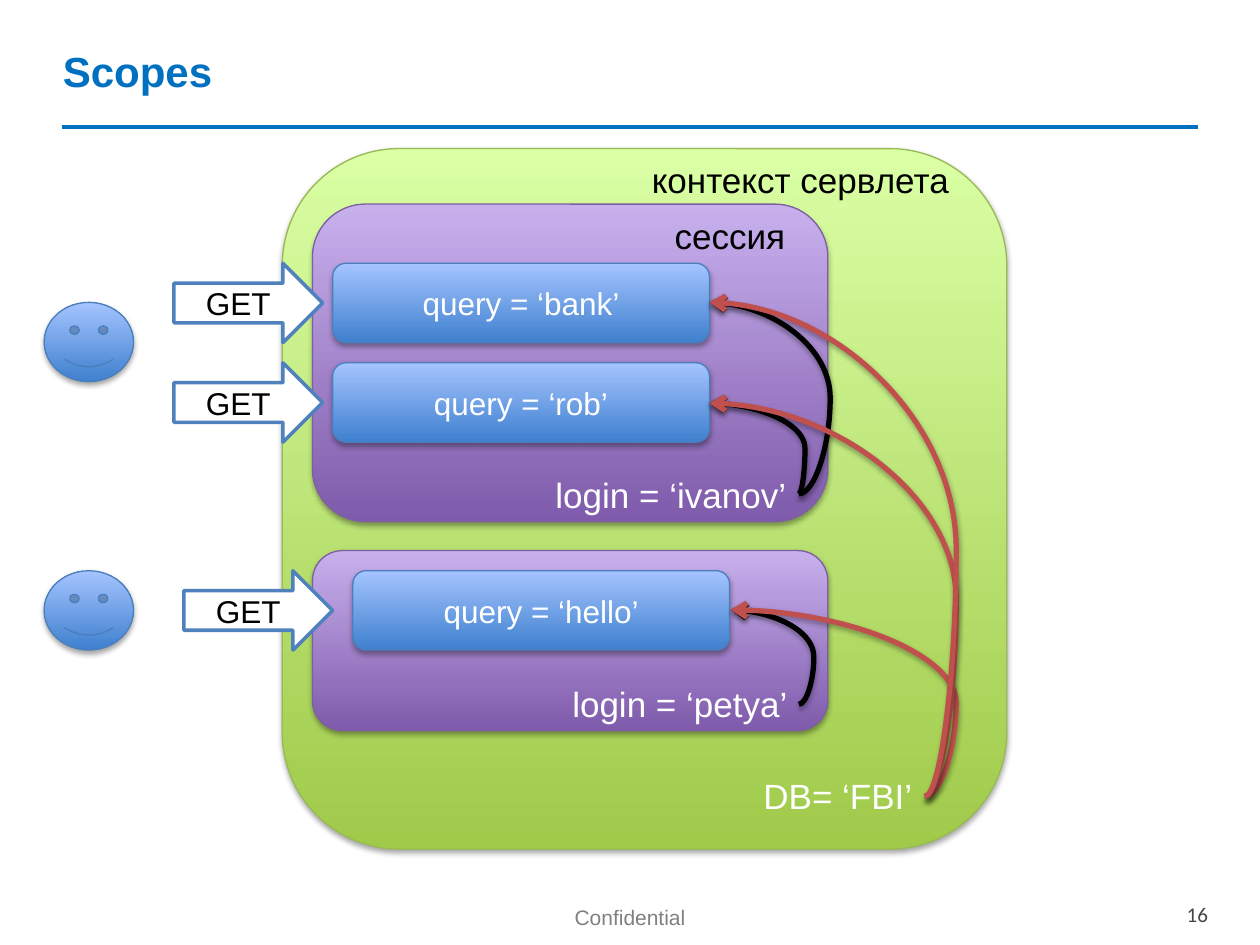
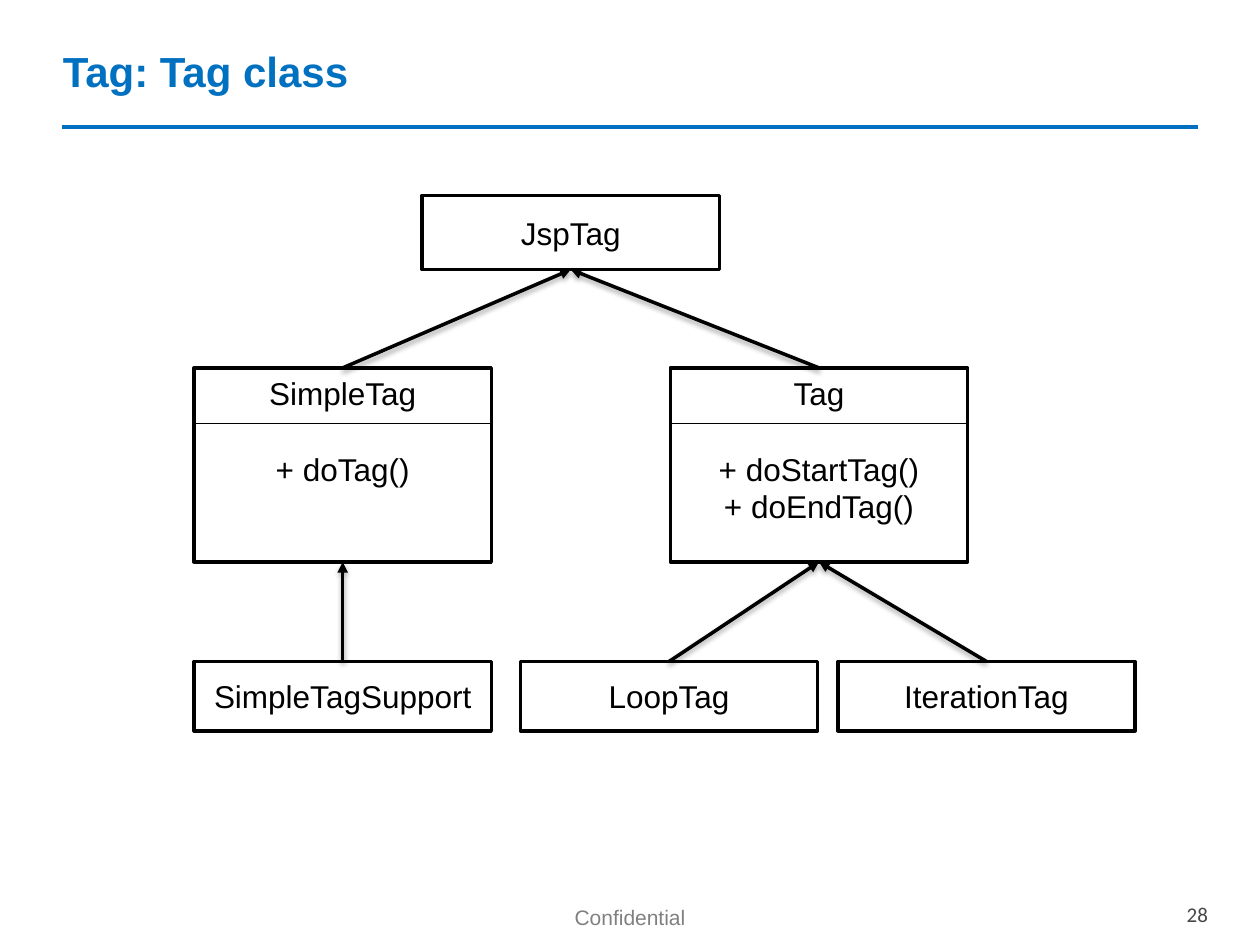
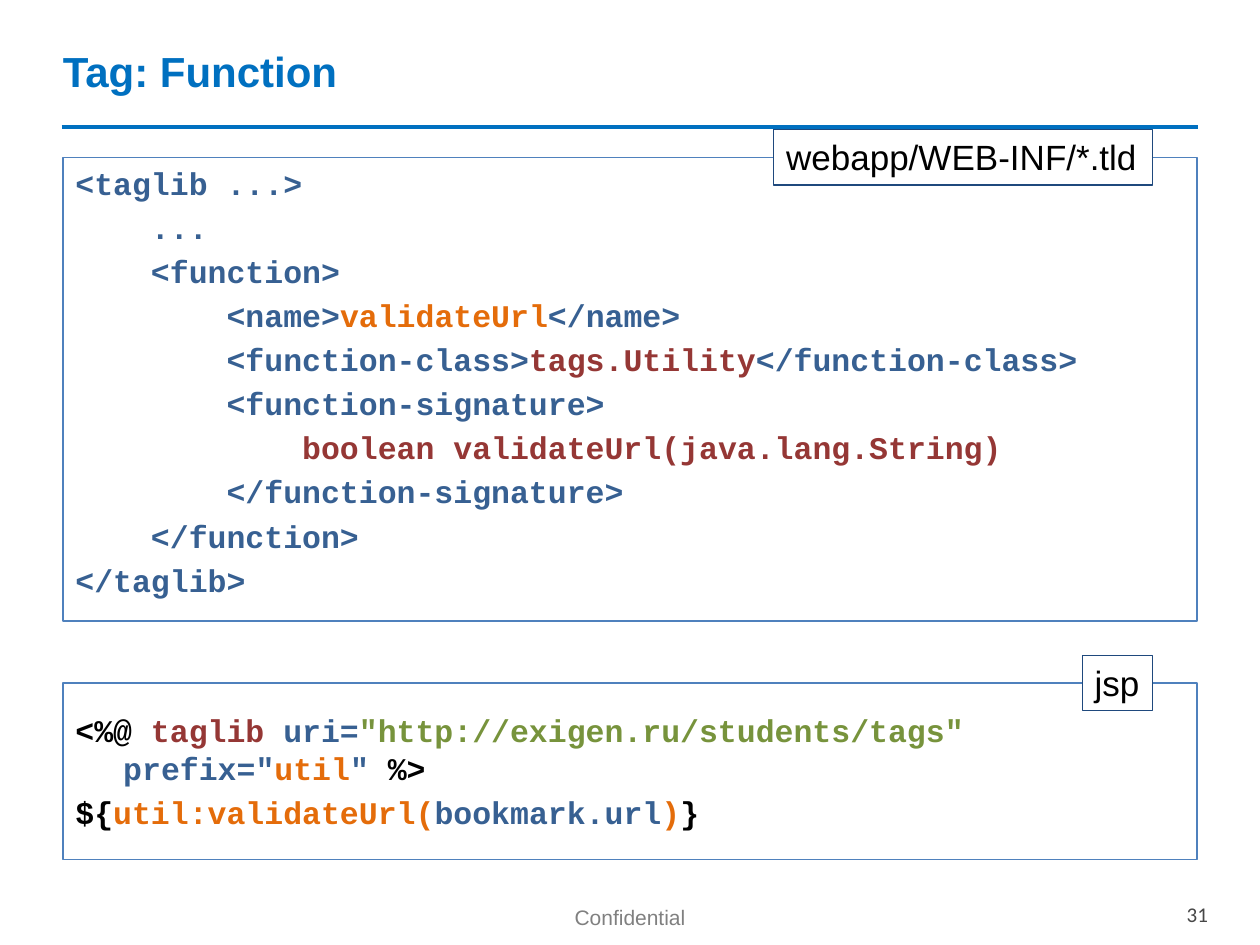
from dataclasses import dataclass
from typing import Optional

from lxml.etree import SubElement
from pptx import Presentation
from pptx.dml.color import RGBColor
from pptx.enum.shapes import MSO_CONNECTOR, MSO_SHAPE
from pptx.enum.text import MSO_ANCHOR, PP_ALIGN
from pptx.oxml.ns import qn
from pptx.util import Inches, Pt

WHITE = RGBColor(0xFF, 0xFF, 0xFF)
BLACK = RGBColor(0x00, 0x00, 0x00)
TITLE_BLUE = RGBColor(0x00, 0x70, 0xC0)
FOOTER_GRAY = RGBColor(0x80, 0x80, 0x80)
NUMBER_GRAY = RGBColor(0x47, 0x47, 0x47)
BORDER_BLUE = RGBColor(0x4F, 0x81, 0xBD)
LABEL_NAVY = RGBColor(0x1F, 0x49, 0x7D)
ARROW_RED = RGBColor(0xC0, 0x50, 0x4D)
CODE_BLUE = RGBColor(0x37, 0x60, 0x92)
CODE_ORANGE = RGBColor(0xE4, 0x6C, 0x0A)
CODE_RED = RGBColor(0x95, 0x37, 0x35)
CODE_GREEN = RGBColor(0x77, 0x93, 0x3C)

TITLE_FONT = {"name": "Arial", "size": Pt(24), "bold": True}
FOOTER_FONT = {"name": "Arial", "size": Pt(12)}
NUMBER_FONT = {"name": "Calibri", "size": Pt(12)}
BODY_FONT = {"name": "Arial", "size": Pt(18)}
LABEL_FONT = {"name": "Arial", "size": Pt(20)}
CODE_FONT = {"name": "Courier New", "size": Pt(18), "bold": True}
CENTERED = {"alignment": PP_ALIGN.CENTER}
RIGHT = {"alignment": PP_ALIGN.RIGHT}
FOOTER_FRAME = {"margin_top": Inches(0.07), "word_wrap": True}
MIDDLE = {"vertical_anchor": MSO_ANCHOR.MIDDLE, "word_wrap": True}
TOP = {"vertical_anchor": MSO_ANCHOR.TOP, "word_wrap": True}
UNWRAPPED = {"vertical_anchor": MSO_ANCHOR.TOP, "word_wrap": False}

TOP_SIDE, BOTTOM_SIDE = 0, 2


@dataclass(frozen=True)
class Box:
    left: float
    top: float
    width: float
    height: float

    def inches(self) -> tuple:
        return tuple(Inches(v) for v in (self.left, self.top, self.width, self.height))


@dataclass(frozen=True)
class Gradient:
    bottom: RGBColor
    top: RGBColor
    border: RGBColor


@dataclass(frozen=True)
class Label:
    text: str
    box: Box
    color: RGBColor


@dataclass(frozen=True)
class Curve:
    """A curved arrow that leaves begin, swings out to bulge and returns to end."""
    begin: tuple
    end: tuple
    bulge: float
    color: RGBColor


@dataclass(frozen=True)
class ClassBox:
    name: str
    box: Box
    parent: Optional[str] = None
    methods: tuple = ()


GREEN = Gradient(RGBColor(0xA0, 0xCA, 0x4A), RGBColor(0xDA, 0xFF, 0xA5), RGBColor(0x98, 0xB9, 0x55))
PURPLE = Gradient(RGBColor(0x7F, 0x5B, 0xAB), RGBColor(0xC8, 0xB0, 0xED), RGBColor(0x7D, 0x60, 0xA0))
BLUE = Gradient(RGBColor(0x3F, 0x80, 0xCE), RGBColor(0xA4, 0xC4, 0xFF), RGBColor(0x4B, 0x7E, 0xBC))

CONTEXT = Box(2.24, 1.18, 5.75, 5.56)
SESSIONS = [Box(2.48, 1.62, 4.09, 2.52), Box(2.48, 4.37, 4.09, 1.43)]
USER_TOPS = [2.4, 4.53]
ROW_HEIGHT = 0.63
REQUESTS = [  # query, arrow left, query box left, top
    ("query = ‘bank’", 1.38, 2.64, 2.09),
    ("query = ‘rob’", 1.38, 2.64, 2.88),
    ("query = ‘hello’", 1.46, 2.8, 4.53),
]
SCOPE_LABELS = [
    Label("login = ‘ivanov’", Box(4.29, 3.71, 2.05, 0.44), WHITE),
    Label("login = ‘petya’", Box(4.43, 5.37, 1.92, 0.44), WHITE),
    Label("DB= ‘FBI’", Box(5.94, 6.1, 1.4, 0.44), WHITE),
    Label("сессия", Box(5.24, 1.65, 1.09, 0.44), BLACK),
    Label("контекст сервлета", Box(5.02, 1.21, 2.61, 0.44), BLACK),
]
IVANOV, PETYA, DATABASE = (6.34, 3.92), (6.34, 5.59), (7.34, 6.32)
BANK, ROB, HELLO = (5.63, 2.4), (5.63, 3.2), (5.8, 4.84)
CURVES = [
    Curve(IVANOV, BANK, 6.59, BLACK),
    Curve(IVANOV, ROB, 6.39, BLACK),
    Curve(PETYA, HELLO, 6.46, BLACK),
    Curve(DATABASE, HELLO, 7.59, ARROW_RED),
    Curve(DATABASE, ROB, 7.59, ARROW_RED),
    Curve(DATABASE, BANK, 7.59, ARROW_RED),
]

CLASS_WIDTH = 2.36
NAME_BAND = 0.44
CLASSES = [
    ClassBox("JspTag", Box(3.35, 1.55, CLASS_WIDTH, 0.59)),
    ClassBox("SimpleTag", Box(1.54, 2.92, CLASS_WIDTH, 1.54), "JspTag", ("+ doTag()",)),
    ClassBox("Tag", Box(5.32, 2.92, CLASS_WIDTH, 1.54), "JspTag",
             ("+ doStartTag()", "+ doEndTag()")),
    ClassBox("SimpleTagSupport", Box(1.54, 5.25, CLASS_WIDTH, 0.55), "SimpleTag"),
    ClassBox("LoopTag", Box(4.13, 5.25, CLASS_WIDTH, 0.55), "Tag"),
    ClassBox("IterationTag", Box(6.65, 5.25, CLASS_WIDTH, 0.55), "Tag"),
]

TLD_CODE = [
    [("<taglib ...>", CODE_BLUE)],
    [("    ...", CODE_BLUE)],
    [("    <function>", CODE_BLUE)],
    [("        <name>", CODE_BLUE), ("validateUrl", CODE_ORANGE), ("</name>", CODE_BLUE)],
    [("        <function-class>", CODE_BLUE), ("tags.Utility", CODE_RED),
     ("</function-class>", CODE_BLUE)],
    [("        <function-signature>", CODE_BLUE)],
    [("            boolean validateUrl(java.lang.String)", CODE_RED)],
    [("        </function-signature>", CODE_BLUE)],
    [("    </function>", CODE_BLUE)],
    [("</taglib>", CODE_BLUE)],
]
JSP_CODE = [
    [("<%@ ", BLACK), ("taglib ", CODE_RED), ("uri=", CODE_BLUE),
     ('"http://exigen.ru/students/tags" ', CODE_GREEN), ('prefix="', CODE_BLUE),
     ("util", CODE_ORANGE), ('" ', CODE_BLUE), ("%>", BLACK)],
    [("${", BLACK), ("util:validateUrl(", CODE_ORANGE), ("bookmark.url", CODE_BLUE),
     (")", CODE_ORANGE), ("}", BLACK)],
]
FILE_LABELS = [
    Label("jsp", Box(8.59, 5.2, 0.56, 0.44), BLACK),
    Label("webapp/WEB-INF/*.tld", Box(6.14, 1.03, 3.01, 0.44), BLACK),
]


def set_values(target, values: dict) -> None:
    for name, value in values.items():
        setattr(target, name, value)


def add_run(paragraph, text: str, font: dict, color: RGBColor) -> None:
    run = paragraph.add_run()
    run.text = text
    set_values(run.font, font)
    run.font.color.rgb = color


def write(shape, text: str, font: dict, color: RGBColor, frame: dict, paragraph_format: dict) -> None:
    set_values(shape.text_frame, frame)
    paragraph = shape.text_frame.paragraphs[0]
    set_values(paragraph, paragraph_format)
    add_run(paragraph, text, font, color)


def add_text(slide, box: Box, text: str, font: dict, color: RGBColor,
             frame: dict, paragraph_format: dict) -> None:
    write(slide.shapes.add_textbox(*box.inches()), text, font, color, frame, paragraph_format)


def cast_shadow(shape) -> None:
    """Add a soft shadow that falls straight down."""
    effects = SubElement(shape._element.spPr, qn("a:effectLst"))
    shadow = SubElement(effects, qn("a:outerShdw"), blurRad=str(Pt(3.1)), dist=str(Pt(1.8)),
                        dir="5400000", rotWithShape="0")
    color = SubElement(shadow, qn("a:srgbClr"), val="000000")
    SubElement(color, qn("a:alpha"), val="35000")


def add_flat_shape(slide, kind: MSO_SHAPE, box: Box, fill: Optional[RGBColor],
                   border: RGBColor, border_width: float):
    shape = slide.shapes.add_shape(kind, *box.inches())
    shape.shadow.inherit = False
    if fill is None:
        shape.fill.background()
    else:
        shape.fill.solid()
        shape.fill.fore_color.rgb = fill
    shape.line.color.rgb = border
    shape.line.width = Pt(border_width)
    return shape


def add_gradient_shape(slide, kind: MSO_SHAPE, box: Box, gradient: Gradient):
    shape = slide.shapes.add_shape(kind, *box.inches())
    shape.fill.gradient()
    shape.fill.gradient_angle = 90
    for stop, color in zip(shape.fill.gradient_stops, (gradient.bottom, gradient.top)):
        stop.color.rgb = color
    shape.line.color.rgb = gradient.border
    shape.line.width = Pt(0.75)
    cast_shadow(shape)
    return shape


def add_line(slide, begin: tuple, end: tuple, color: RGBColor, width: float,
             kind: MSO_CONNECTOR = MSO_CONNECTOR.STRAIGHT, arrowhead: Optional[str] = None):
    """Arrows cast a shadow; plain lines have none."""
    connector = slide.shapes.add_connector(kind, *(Inches(v) for v in (*begin, *end)))
    connector.line.color.rgb = color
    connector.line.width = Pt(width)
    if arrowhead:
        SubElement(connector.line._get_or_add_ln(), qn("a:tailEnd"), type=arrowhead)
        cast_shadow(connector)
    else:
        SubElement(connector._element.spPr, qn("a:effectLst"))
    return connector


def add_curve(slide, curve: Curve) -> None:
    connector = add_line(slide, curve.begin, curve.end, curve.color, 3, MSO_CONNECTOR.CURVE, "arrow")
    start = curve.begin[0]
    bend = round((curve.bulge - start) / (curve.end[0] - start) * 100000)
    adjustments = connector._element.spPr.find(qn("a:prstGeom")).find(qn("a:avLst"))
    SubElement(adjustments, qn("a:gd"), name="adj1", fmla=f"val {bend}")


def add_code(slide, box: Box, lines: list, frame: dict) -> None:
    shape = add_flat_shape(slide, MSO_SHAPE.RECTANGLE, box, None, BORDER_BLUE, 0.75)
    set_values(shape.text_frame, frame)
    for index, runs in enumerate(lines):
        paragraph = shape.text_frame.add_paragraph() if index else shape.text_frame.paragraphs[0]
        properties = paragraph._p.get_or_add_pPr()
        properties.set("marL", str(Inches(0.38)))
        properties.set("indent", str(Inches(-0.38)))
        paragraph.alignment = PP_ALIGN.LEFT
        if index:
            paragraph.space_before = Pt(3.6)
        for text, color in runs:
            add_run(paragraph, text, CODE_FONT, color)


def add_class(slide, class_box: ClassBox):
    box = class_box.box
    shape = add_flat_shape(slide, MSO_SHAPE.RECTANGLE, box, WHITE, BLACK, 2)
    frame = TOP if class_box.methods else MIDDLE
    write(shape, class_box.name, BODY_FONT, BLACK, frame, CENTERED)
    for index, method in enumerate(class_box.methods):
        paragraph = shape.text_frame.add_paragraph()
        paragraph.alignment = PP_ALIGN.CENTER
        if index == 0:
            paragraph.space_before = Pt(21.6)
        add_run(paragraph, method, BODY_FONT, BLACK)
    if class_box.methods:
        divider = box.top + NAME_BAND
        add_line(slide, (box.left, divider), (box.left + box.width, divider), BLACK, 0.75)
    return shape


def start_slide(presentation, title: str, number: int):
    slide = presentation.slides.add_slide(presentation.slide_layouts[6])
    add_line(slide, (0.49, 1.01), (9.51, 1.01), TITLE_BLUE, 2.25)
    add_text(slide, Box(3.94, 7.13, 2.12, 0.39), "Confidential", FOOTER_FONT, FOOTER_GRAY,
             FOOTER_FRAME, {**CENTERED, "line_spacing": 0.93})
    add_text(slide, Box(9.32, 7.1, 0.57, 0.27), str(number), NUMBER_FONT, NUMBER_GRAY,
             FOOTER_FRAME, {"line_spacing": 0.93})
    add_text(slide, Box(0.4, 0.02, 9.29, 1.08), title, TITLE_FONT, TITLE_BLUE, MIDDLE, {})
    return slide


def build_scopes(presentation) -> None:
    slide = start_slide(presentation, "Scopes", 16)
    add_gradient_shape(slide, MSO_SHAPE.ROUNDED_RECTANGLE, CONTEXT, GREEN)
    for session in SESSIONS:
        add_gradient_shape(slide, MSO_SHAPE.ROUNDED_RECTANGLE, session, PURPLE)
    for top in USER_TOPS:
        add_gradient_shape(slide, MSO_SHAPE.SMILEY_FACE, Box(0.35, top, 0.71, ROW_HEIGHT), BLUE)
    for query, arrow_left, query_left, top in REQUESTS:
        query_box = add_gradient_shape(slide, MSO_SHAPE.ROUNDED_RECTANGLE,
                                       Box(query_left, top, 2.99, ROW_HEIGHT), BLUE)
        write(query_box, query, BODY_FONT, WHITE, MIDDLE, CENTERED)
        arrow = add_flat_shape(slide, MSO_SHAPE.RIGHT_ARROW,
                               Box(arrow_left, top, 1.18, ROW_HEIGHT), WHITE, BORDER_BLUE, 2)
        write(arrow, "GET", BODY_FONT, BLACK, MIDDLE, CENTERED)
    for curve in CURVES:
        add_curve(slide, curve)
    for label in SCOPE_LABELS:
        add_text(slide, label.box, label.text, LABEL_FONT, label.color, UNWRAPPED, RIGHT)


def build_class_diagram(presentation) -> None:
    slide = start_slide(presentation, "Tag: Tag class", 28)
    shapes = {class_box.name: add_class(slide, class_box) for class_box in CLASSES}
    for class_box in CLASSES:
        if class_box.parent:
            arrow = add_line(slide, (0, 0), (1, 1), BLACK, 2, arrowhead="triangle")
            arrow.begin_connect(shapes[class_box.name], TOP_SIDE)
            arrow.end_connect(shapes[class_box.parent], BOTTOM_SIDE)


def build_function(presentation) -> None:
    slide = start_slide(presentation, "Tag: Function", 31)
    add_code(slide, Box(0.5, 1.25, 9, 3.68), TLD_CODE, TOP)
    add_code(slide, Box(0.5, 5.42, 9, 1.4), JSP_CODE, MIDDLE)
    for label in FILE_LABELS:
        shape = add_flat_shape(slide, MSO_SHAPE.RECTANGLE, label.box, WHITE, LABEL_NAVY, 0.75)
        write(shape, label.text, LABEL_FONT, label.color, UNWRAPPED, {"alignment": PP_ALIGN.LEFT})


def main() -> None:
    presentation = Presentation()
    presentation.slide_width = Inches(10)
    presentation.slide_height = Inches(7.5)
    build_scopes(presentation)
    build_class_diagram(presentation)
    build_function(presentation)
    presentation.save("out.pptx")


if __name__ == "__main__":
    main()
